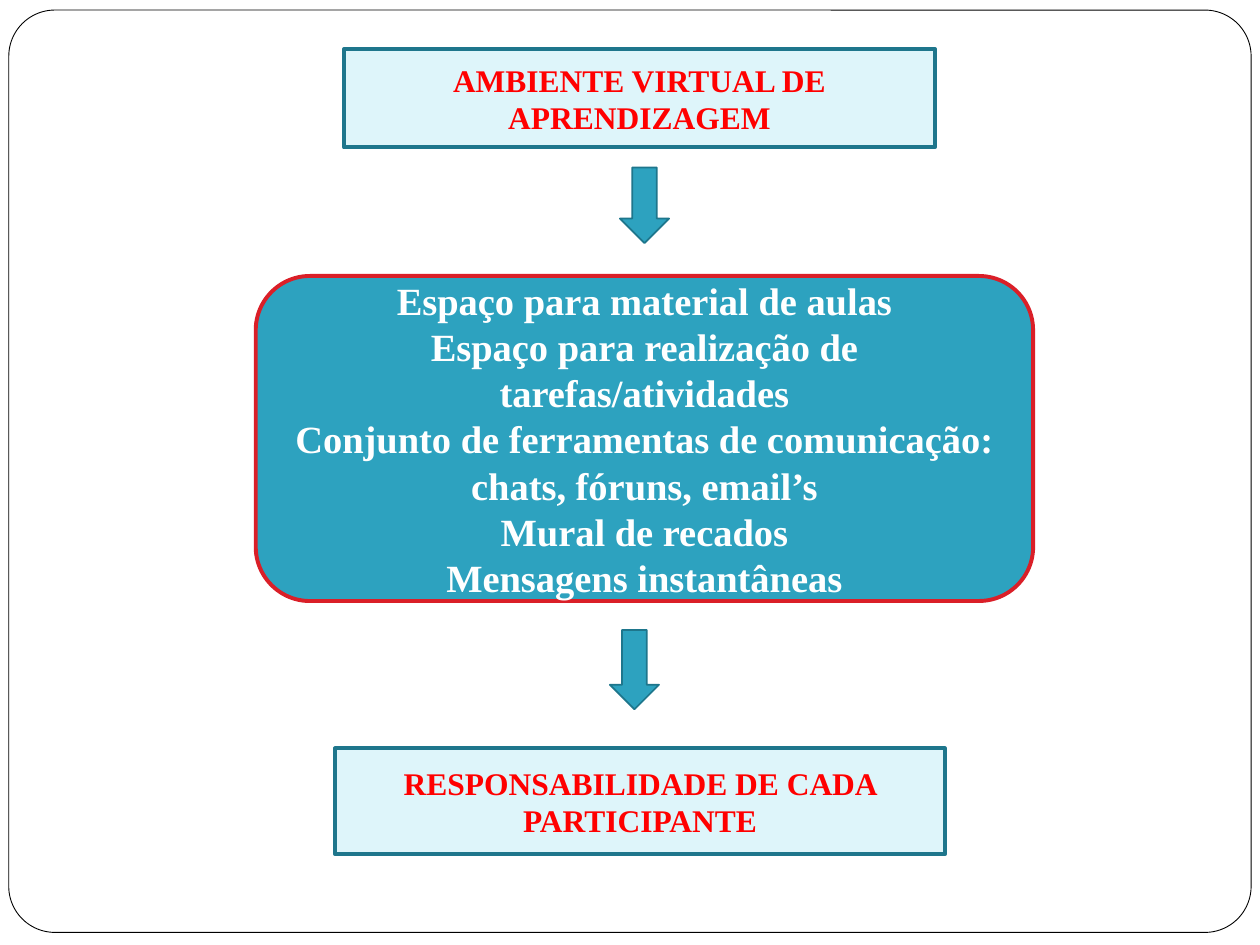
from dataclasses import dataclass

from pptx import Presentation
from pptx.dml.color import RGBColor
from pptx.enum.shapes import MSO_SHAPE as Shape
from pptx.enum.text import MSO_ANCHOR as Anchor, PP_ALIGN as Align
from pptx.shapes.autoshape import Shape as AutoShape
from pptx.slide import Slide
from pptx.util import Inches, Pt

COLORS = {
    "white": "FFFFFF",
    "black": "000000",
    "pale": "DEF5FA",
    "teal": "2DA2BF",
    "dark_teal": "1E768C",
    "crimson": "DA1F28",
    "red": "FF0000",
}
FONT = "Times New Roman"


@dataclass(frozen=True)
class Style:
    shape: Shape
    fill: str
    line: str
    line_width: float
    corner: float | None = None


@dataclass(frozen=True)
class Area:
    left: float
    top: float
    width: float
    height: float


FRAME = Style(Shape.ROUNDED_RECTANGLE, "white", "black", 0.5, 0.05)
HEADING = Style(Shape.RECTANGLE, "pale", "dark_teal", 2.25)
RESOURCES = Style(Shape.ROUNDED_RECTANGLE, "teal", "crimson", 2.25)
ARROW = Style(Shape.DOWN_ARROW, "teal", "dark_teal", 1)


def rgb(name: str) -> RGBColor:
    return RGBColor.from_string(COLORS[name])


def draw(slide: Slide, style: Style, area: Area) -> AutoShape:
    shape = slide.shapes.add_shape(
        style.shape,
        Inches(area.left), Inches(area.top),
        Inches(area.width), Inches(area.height),
    )
    shape.shadow.inherit = False
    shape.fill.solid()
    shape.fill.fore_color.rgb = rgb(style.fill)
    shape.line.color.rgb = rgb(style.line)
    shape.line.width = Pt(style.line_width)
    if style.corner is not None:
        shape.adjustments[0] = style.corner
    return shape


def write(shape: AutoShape, *lines: str, size: float, color: str) -> None:
    frame = shape.text_frame
    frame.word_wrap = True
    frame.vertical_anchor = Anchor.MIDDLE
    frame.text = "\n".join(lines)
    for paragraph in frame.paragraphs:
        paragraph.alignment = Align.CENTER
        paragraph.font.name = FONT
        paragraph.font.size = Pt(size)
        paragraph.font.bold = True
        paragraph.font.color.rgb = rgb(color)


def main() -> None:
    deck = Presentation()
    deck.slide_width, deck.slide_height = Inches(10), Inches(7.5)
    slide = deck.slides.add_slide(deck.slide_layouts[6])

    draw(slide, FRAME, Area(0.07, 0.08, 9.86, 7.32))

    environment = draw(slide, HEADING, Area(2.73, 0.39, 4.69, 0.78))
    write(environment, "AMBIENTE VIRTUAL DE APRENDIZAGEM", size=18, color="red")

    draw(slide, ARROW, Area(4.92, 1.33, 0.39, 0.6))

    resources = draw(slide, RESOURCES, Area(2.03, 2.19, 6.17, 2.58))
    write(
        resources,
        "Espaço para material de aulas",
        "Espaço para realização de tarefas/atividades",
        "Conjunto de ferramentas de comunicação: chats, fóruns, email’s",
        "Mural de recados",
        "Mensagens instantâneas",
        size=22,
        color="white",
    )

    draw(slide, ARROW, Area(4.84, 5, 0.39, 0.63))

    responsibility = draw(slide, HEADING, Area(2.66, 5.94, 4.84, 0.84))
    write(responsibility, "RESPONSABILIDADE DE CADA PARTICIPANTE", size=18, color="red")

    deck.save("out.pptx")


if __name__ == "__main__":
    main()
